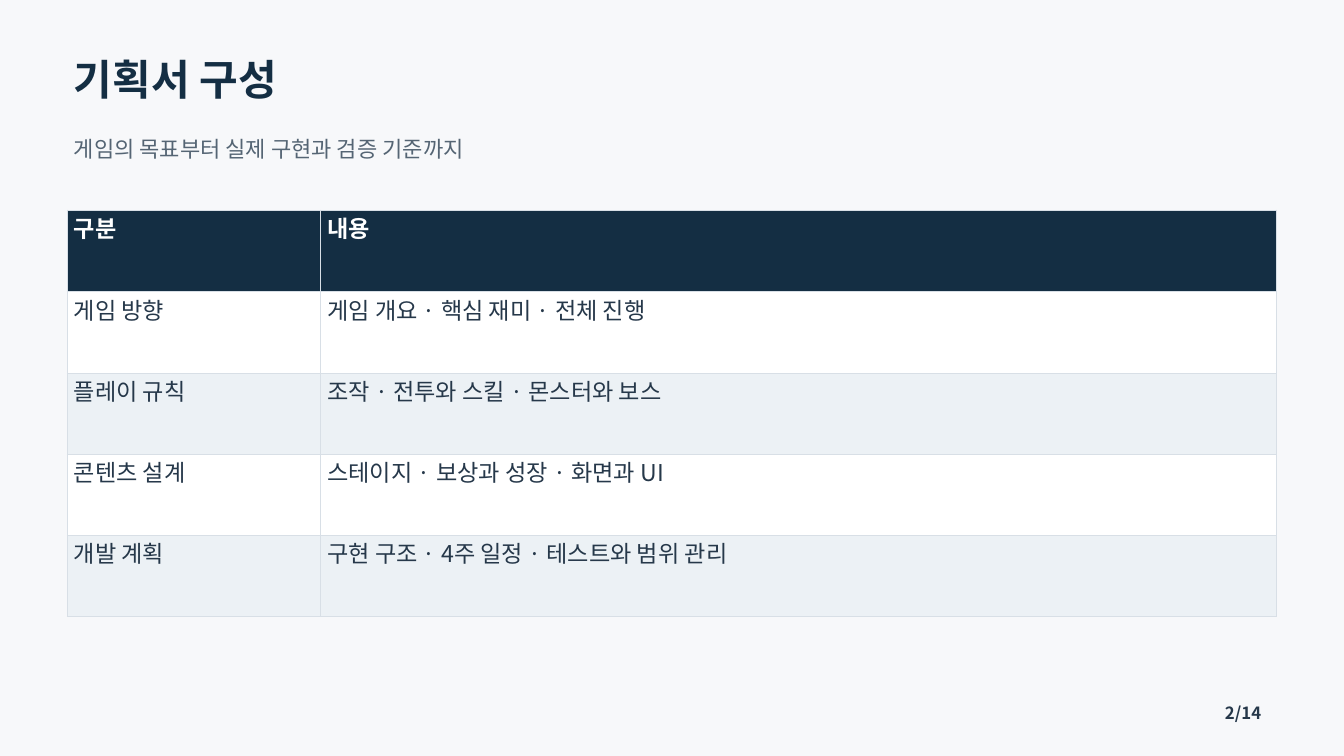
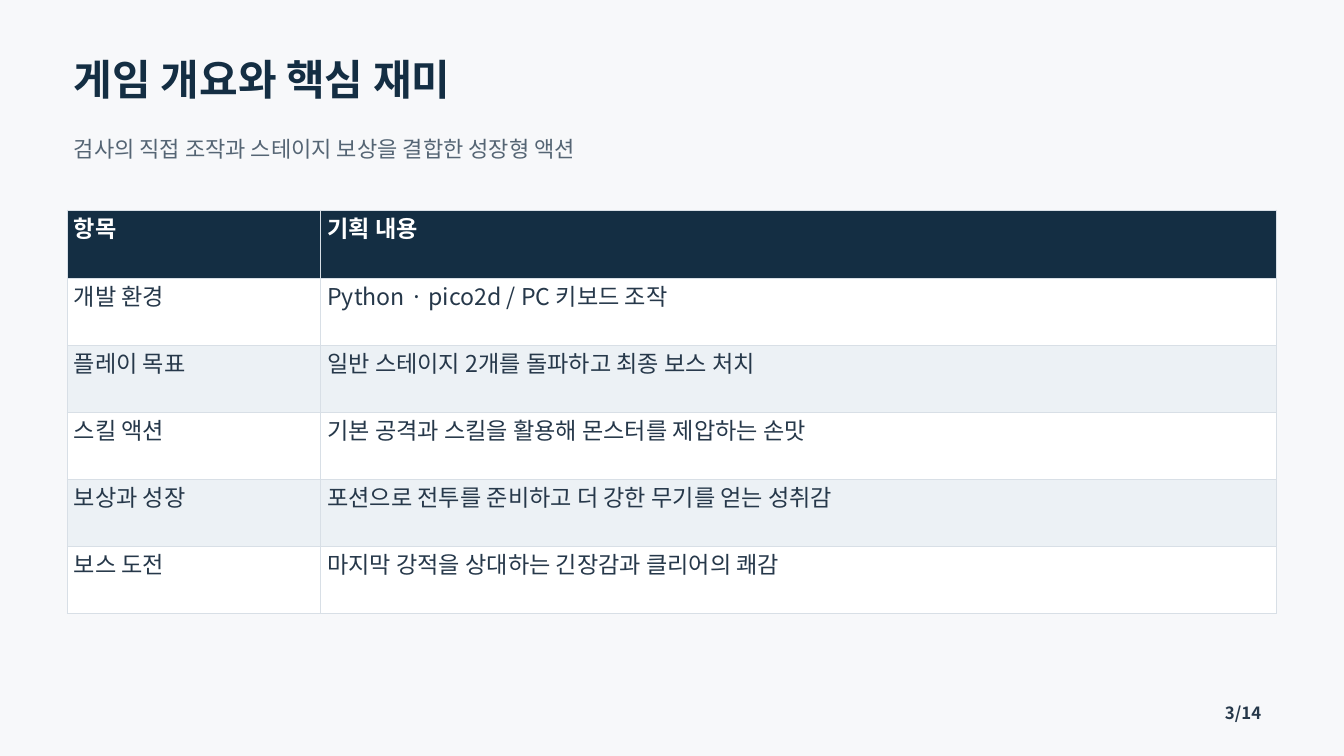
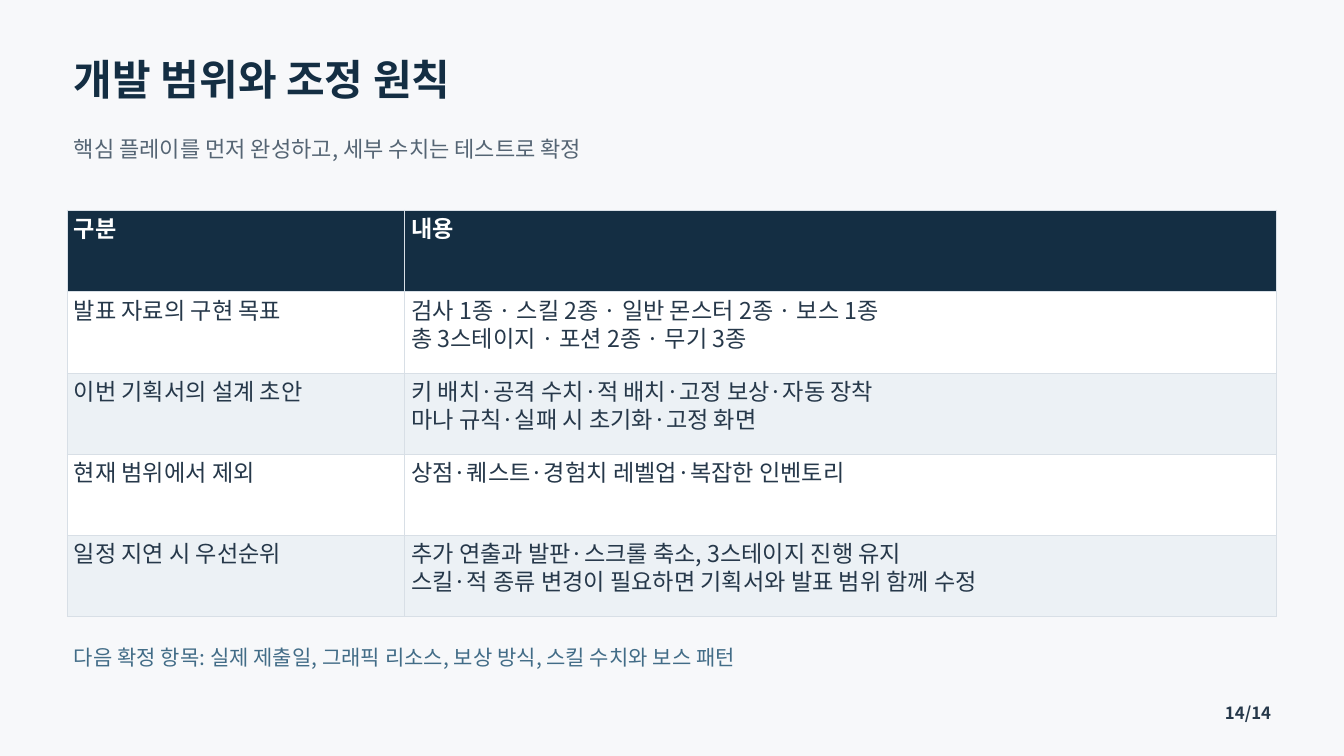
from lxml.etree import SubElement
from pptx import Presentation
from pptx.dml.color import RGBColor
from pptx.enum.text import MSO_AUTO_SIZE as AutoSize
from pptx.oxml import parse_xml
from pptx.oxml.ns import nsdecls, qn
from pptx.util import Pt

# Shared look
FONT = "Noto Sans CJK KR"
BACKGROUND, NAVY, INK, WHITE = "F7F8FA", "142E43", "26384A", "FFFFFF"
STRIPE, BORDER, MUTED, NOTE_BLUE = "ECF1F5", "D8DFE6", "556574", "426C87"
STYLES = {
    "title": dict(size=45, bold=True, color=NAVY, leading=54),
    "subtitle": dict(size=23.6, bold=False, color=MUTED, leading=28.4),
    "page": dict(size=18, bold=True, color=INK, leading=21.6),
    "note": dict(size=22.5, bold=False, color=NOTE_BLUE, leading=27),
    "header": dict(size=24.8, bold=True, color=WHITE, leading=29.7),
    "body": dict(size=24.8, bold=False, color=INK, leading=29.7),
}

# Shared places
TEXT_LEFT, TEXT_WIDTH = 79.2, 1279.5
TABLE_LEFT, TABLE_TOP, TABLE_WIDTH = 72, 225, 1296
HEADER_EXTRA = 0.8
TOTAL_PAGES = 14

# Slide content
PAGES = [
    dict(
        number=2,
        title="기획서 구성",
        subtitle="게임의 목표부터 실제 구현과 검증 기준까지",
        label_width=271.5,
        table_height=435,
        rows=[
            ("구분", "내용"),
            ("게임 방향", "게임 개요 · 핵심 재미 · 전체 진행"),
            ("플레이 규칙", "조작 · 전투와 스킬 · 몬스터와 보스"),
            ("콘텐츠 설계", "스테이지 · 보상과 성장 · 화면과 UI"),
            ("개발 계획", "구현 구조 · 4주 일정 · 테스트와 범위 관리"),
        ],
    ),
    dict(
        number=3,
        title="게임 개요와 핵심 재미",
        subtitle="검사의 직접 조작과 스테이지 보상을 결합한 성장형 액션",
        label_width=271.5,
        table_height=432,
        rows=[
            ("항목", "기획 내용"),
            ("개발 환경", "Python · pico2d / PC 키보드 조작"),
            ("플레이 목표", "일반 스테이지 2개를 돌파하고 최종 보스 처치"),
            ("스킬 액션", "기본 공격과 스킬을 활용해 몬스터를 제압하는 손맛"),
            ("보상과 성장", "포션으로 전투를 준비하고 더 강한 무기를 얻는 성취감"),
            ("보스 도전", "마지막 강적을 상대하는 긴장감과 클리어의 쾌감"),
        ],
    ),
    dict(
        number=14,
        title="개발 범위와 조정 원칙",
        subtitle="핵심 플레이를 먼저 완성하고, 세부 수치는 테스트로 확정",
        label_width=361.5,
        table_height=435,
        rows=[
            ("구분", "내용"),
            ("발표 자료의 구현 목표",
             "검사 1종 · 스킬 2종 · 일반 몬스터 2종 · 보스 1종\n"
             "총 3스테이지 · 포션 2종 · 무기 3종"),
            ("이번 기획서의 설계 초안",
             "키 배치·공격 수치·적 배치·고정 보상·자동 장착\n"
             "마나 규칙·실패 시 초기화·고정 화면"),
            ("현재 범위에서 제외", "상점·퀘스트·경험치 레벨업·복잡한 인벤토리"),
            ("일정 지연 시 우선순위",
             "추가 연출과 발판·스크롤 축소, 3스테이지 진행 유지\n"
             "스킬·적 종류 변경이 필요하면 기획서와 발표 범위 함께 수정"),
        ],
        note="다음 확정 항목: 실제 제출일, 그래픽 리소스, 보상 방식, 스킬 수치와 보스 패턴",
    ),
]


def paint(color_format, hex_color):
    color_format.rgb = RGBColor.from_string(hex_color)


def fill_solid(fill, hex_color):
    fill.solid()
    paint(fill.fore_color, hex_color)


def write(frame, text, style_name):
    """Fill a text frame, one paragraph per line, in a named style."""
    style = STYLES[style_name]
    formats = dict(name=FONT, size=Pt(style["size"]), bold=style["bold"])
    frame.text = text
    for paragraph in frame.paragraphs:
        paragraph.line_spacing = Pt(style["leading"])
        for run in paragraph.runs:
            for attribute, value in formats.items():
                setattr(run.font, attribute, value)
            paint(run.font.color, style["color"])
            # Korean glyphs take the East Asian typeface
            SubElement(run.font._element, qn("a:ea")).set("typeface", FONT)


def add_text(slide, text, style_name, top, height, left=TEXT_LEFT, width=TEXT_WIDTH):
    frame = slide.shapes.add_textbox(Pt(left), Pt(top), Pt(width), Pt(height)).text_frame
    formats = dict(margin_left=0, margin_top=0, margin_right=0, margin_bottom=0,
                   word_wrap=True, auto_size=AutoSize.SHAPE_TO_FIT_TEXT)
    for attribute, value in formats.items():
        setattr(frame, attribute, value)
    write(frame, text, style_name)


def add_borders(cell):
    properties = cell._tc.get_or_add_tcPr()
    for position, side in enumerate("LRTB"):
        properties.insert(position, parse_xml(
            f'<a:ln{side} {nsdecls("a")} w="{Pt(0.75)}"><a:solidFill>'
            f'<a:srgbClr val="{BORDER}"/></a:solidFill></a:ln{side}>'))


def format_cell(cell, text, row_index):
    if row_index == 0:
        background, style_name = NAVY, "header"
    else:
        background, style_name = (WHITE if row_index % 2 else STRIPE), "body"
    for side in ("left", "top", "right", "bottom"):
        setattr(cell, f"margin_{side}", Pt(7.2))
    fill_solid(cell.fill, background)
    add_borders(cell)
    write(cell.text_frame, text, style_name)


def add_plan_table(slide, rows, label_width, height):
    table = slide.shapes.add_table(
        len(rows), 2, Pt(TABLE_LEFT), Pt(TABLE_TOP), Pt(TABLE_WIDTH), Pt(height)).table
    table.horz_banding = False
    for column, width in zip(table.columns, (label_width, TABLE_WIDTH - label_width)):
        column.width = Pt(width)
    row_height = (height - HEADER_EXTRA) / len(rows)
    for row_index, texts in enumerate(rows):
        row = table.rows[row_index]
        row.height = Pt(row_height + (HEADER_EXTRA if row_index == 0 else 0))
        for cell, text in zip(row.cells, texts):
            format_cell(cell, text, row_index)


def add_page(deck, page):
    slide = deck.slides.add_slide(deck.slide_layouts[6])
    fill_solid(slide.background.fill, BACKGROUND)
    add_text(slide, page["title"], "title", top=57, height=67)
    add_text(slide, page["subtitle"], "subtitle", top=145.5, height=54)
    add_text(slide, f"{page['number']}/{TOTAL_PAGES}", "page",
             top=752.4, height=21.6, left=1312.5, width=53.5)
    add_plan_table(slide, page["rows"], page["label_width"], page["table_height"])
    if "note" in page:
        add_text(slide, page["note"], "note", top=690.5, height=43)


def main():
    deck = Presentation()
    deck.slide_width, deck.slide_height = Pt(1440), Pt(810)
    for page in PAGES:
        add_page(deck, page)
    deck.save("out.pptx")


if __name__ == "__main__":
    main()
